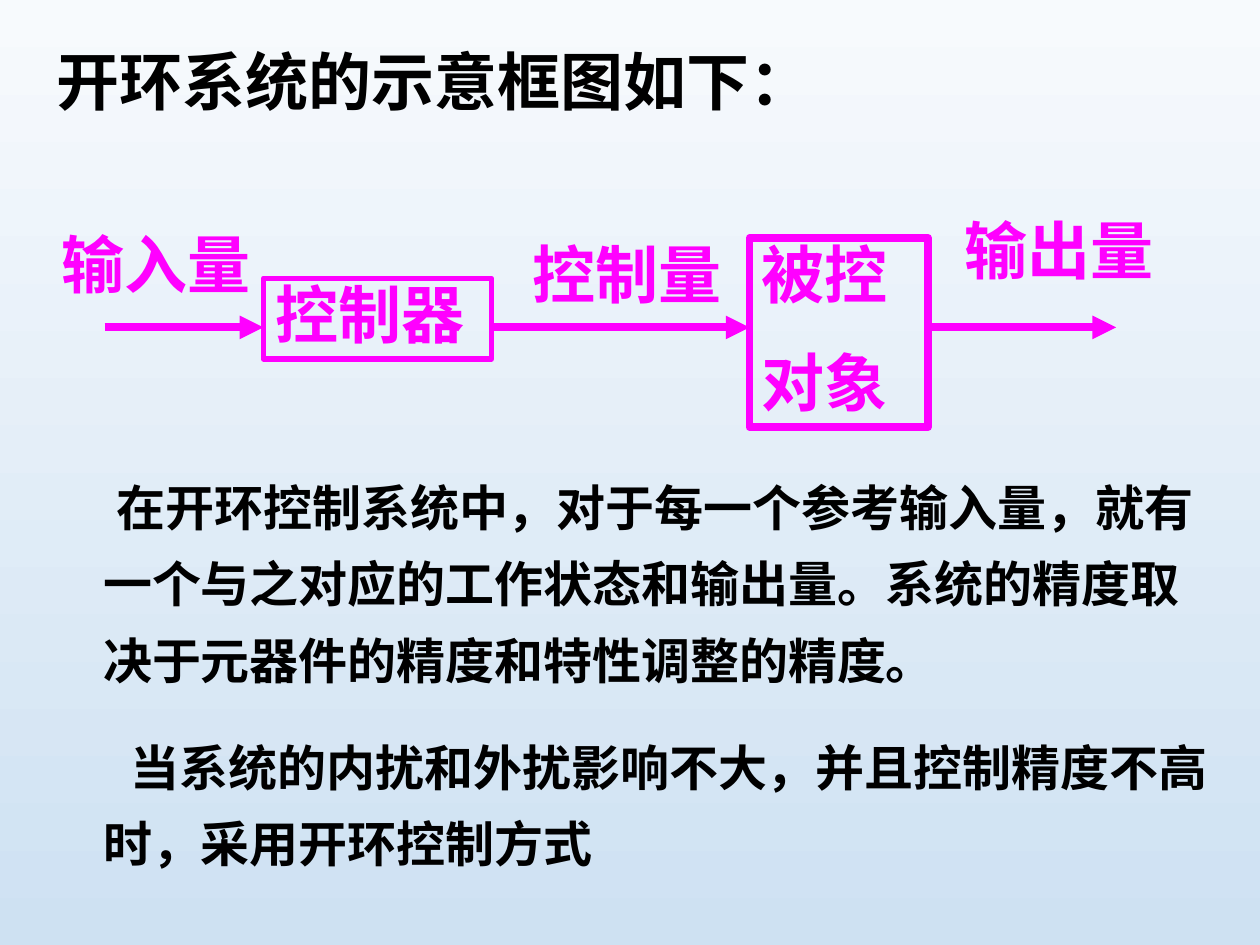
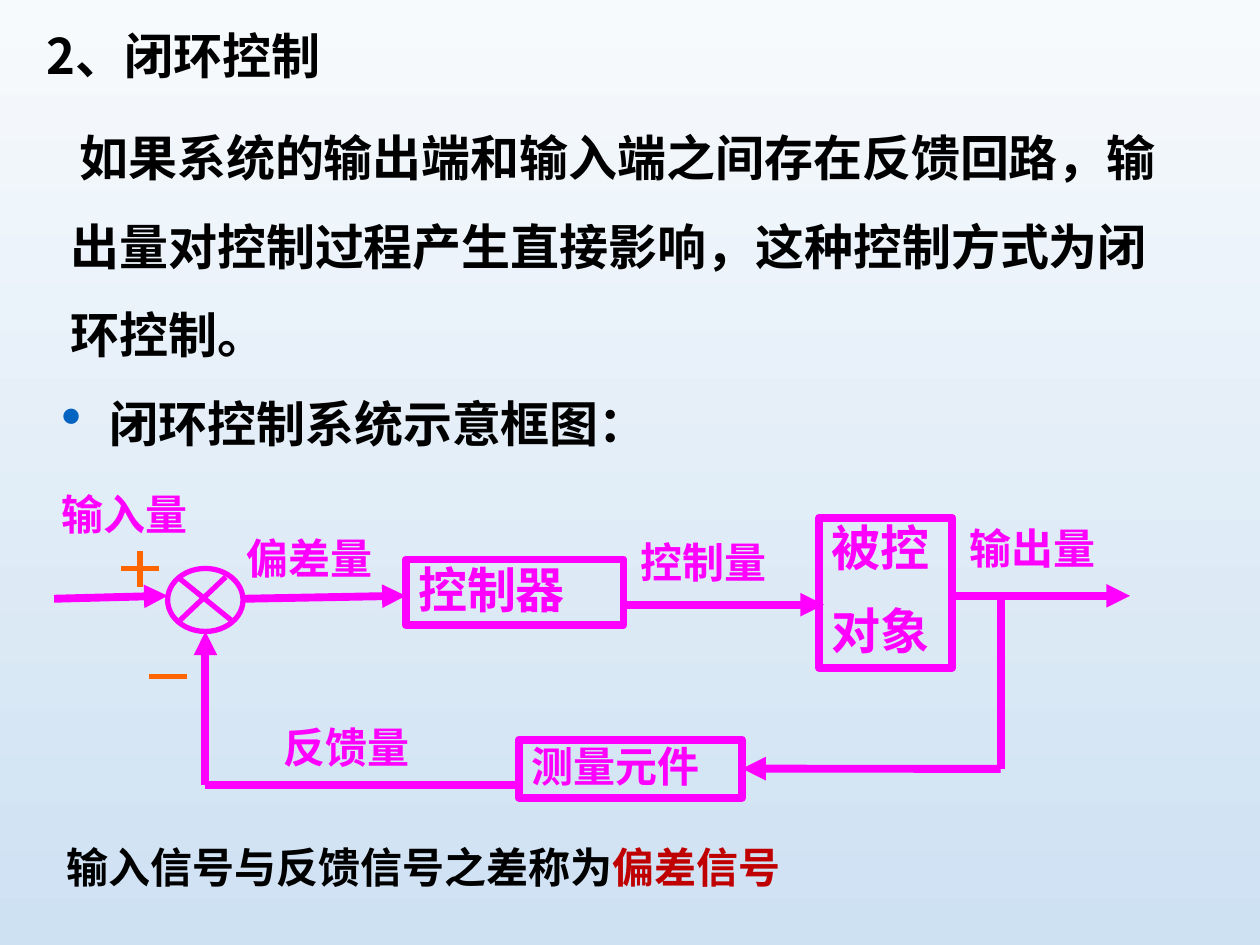
from lxml.etree import SubElement
from pptx import Presentation
from pptx.dml.color import RGBColor
from pptx.enum.shapes import MSO_CONNECTOR, MSO_SHAPE
from pptx.enum.text import MSO_ANCHOR, PP_ALIGN
from pptx.oxml.ns import qn
from pptx.util import Cm, Pt

BLACK = RGBColor(0x00, 0x00, 0x00)
MAGENTA = RGBColor(0xFF, 0x00, 0xFF)
ORANGE = RGBColor(0xFF, 0x66, 0x00)
RED = RGBColor(0xC0, 0x00, 0x00)
SKY_TOP = RGBColor(0xF7, 0xFA, 0xFD)
SKY_BOTTOM = RGBColor(0xCE, 0xE1, 0xF2)
MAIN_FONT = "Karla"
CHINESE_FONT = "Noto Sans CJK SC"


def add_box(page, place, lines, size, colour, outline=None, font=MAIN_FONT):
    lengths = [Cm(value) for value in place]
    if outline:
        box = page.shapes.add_shape(MSO_SHAPE.RECTANGLE, *lengths)
        box.shadow.inherit = False
        box.fill.background()
        box.line.color.rgb = colour
        box.line.width = Pt(outline)
    else:
        box = page.shapes.add_textbox(*lengths)
    frame = box.text_frame
    frame.word_wrap = True
    frame.vertical_anchor = MSO_ANCHOR.TOP
    frame.text = "\n".join(lines)
    for number, para in enumerate(frame.paragraphs):
        para.alignment = PP_ALIGN.LEFT
        para.line_spacing = 0.9
        para.space_before = Pt(size * 0.625 if number else 0)
        for span in para.runs:
            span.font.name = font
            span.font.size = Pt(size)
            span.font.bold = True
            span.font.color.rgb = colour
    return box


def add_line(page, ends, colour=MAGENTA, width=4.5, arrow=True):
    line = page.shapes.add_connector(MSO_CONNECTOR.STRAIGHT, *[Cm(value) for value in ends])
    line.line.color.rgb = colour
    line.line.width = Pt(width)
    if arrow:
        SubElement(line.line._get_or_add_ln(), qn("a:tailEnd"), type="triangle")
    SubElement(line._element.spPr, qn("a:effectLst"))
    return line


deck = Presentation()
deck.slide_width = Cm(25.4)
deck.slide_height = Cm(19.05)
blank = deck.slide_layouts[6]

sky = deck.slide_master.background.fill
sky.gradient()
sky.gradient_angle = 270
for stop, colour in zip(sky.gradient_stops, (SKY_TOP, SKY_BOTTOM)):
    stop.color.rgb = colour

page = deck.slides.add_slide(blank)
add_box(page, (0.89, 0.91, 19.2, 1.63), ["开环系统的示意框图如下："], 36, BLACK)
add_box(page, (5.31, 5.61, 4.6, 1.63), ["控制器"], 36, MAGENTA, outline=3)
add_box(page, (15.11, 4.8, 3.6, 3.81), ["被控", "对象"], 36, MAGENTA, outline=4.5)
for start, end in ((2.11, 5.31), (9.91, 15.11), (18.7, 22.5)):
    add_line(page, (start, 6.6, end, 6.6))
for left, top, label in ((0.99, 4.6, "输入量"), (10.49, 4.8, "控制量"), (19.2, 4.32, "输出量")):
    add_box(page, (left, top, 6.2, 1.63), [label], 36, MAGENTA)

explanation = add_box(page, (0.86, 9.14, 23.8, 8.81), [
    "在开环控制系统中，对于每一个参考输入量，就有一个与之对应的工作状态和输出量。"
    "系统的精度取决于元器件的精度和特性调整的精度。",
    "当系统的内扰和外扰影响不大，并且控制精度不高时，采用开环控制方式",
], 28, BLACK)
for para, indent in zip(explanation.text_frame.paragraphs, (0.27, 0.56)):
    para.line_spacing = 1.3
    properties = para._p.get_or_add_pPr()
    properties.set("marL", str(Cm(0.97)))
    properties.set("indent", str(Cm(indent)))

page = deck.slides.add_slide(blank)
introduction = add_box(page, (0.69, 0.53, 23.6, 9.19), [
    "2、闭环控制",
    "如果系统的输出端和输入端之间存在反馈回路，输出量对控制过程产生直接影响，"
    "这种控制方式为闭环控制。",
], 28, BLACK, font=CHINESE_FONT)
definition = introduction.text_frame.paragraphs[1]
definition.line_spacing = 1.5
definition.space_before = Pt(7.5)
properties = definition._p.get_or_add_pPr()
properties.set("marL", str(Cm(0.48)))
properties.set("indent", str(Cm(0.18)))

add_box(page, (8.18, 11.28, 4.39, 1.32), ["控制器"], 28, MAGENTA, outline=4.5)
add_box(page, (16.51, 10.44, 2.69, 3.02), ["被控", "对象"], 28, MAGENTA, outline=4.5)
sensor = add_box(page, (10.46, 14.91, 4.5, 1.17), ["测量元件"], 24, MAGENTA, outline=4.5)

junction = page.shapes.add_shape(MSO_SHAPE.OVAL, Cm(3.38), Cm(11.46), Cm(1.52), Cm(1.27))
junction.shadow.inherit = False
junction.fill.background()
junction.line.color.rgb = MAGENTA
junction.line.width = Pt(3)
for ends in ((3.58, 11.63, 4.72, 12.55), (4.55, 11.63, 3.58, 12.55)):
    add_line(page, ends, width=3, arrow=False)

for ends in (
    (1.09, 12.07, 3.38, 12.01),
    (4.93, 12.07, 8.18, 12.01),
    (12.57, 12.19, 16.61, 12.19),
    (19.15, 12.01, 22.78, 12.01),
    (4.14, 15.82, 4.14, 12.73),
):
    add_line(page, ends)
for ends in ((20.17, 12.01, 20.17, 15.5), (10.46, 15.82, 4.14, 15.82)):
    add_line(page, ends, arrow=False)
add_line(page, (20.17, 15.5, 14.96, 15.5)).end_connect(sensor, 3)

plus_and_minus = (
    (2.44, 11.46, 3.2, 11.46),
    (2.82, 11.1, 2.82, 11.84),
    (3, 13.64, 3.76, 13.64),
)
for ends in plus_and_minus:
    add_line(page, ends, ORANGE, width=3, arrow=False)

for left, top, label in (
    (0.99, 9.83, "输入量"),
    (4.72, 10.72, "偏差量"),
    (12.67, 10.8, "控制量"),
    (19.3, 10.52, "输出量"),
    (5.46, 14.53, "反馈量"),
):
    add_box(page, (left, top, 3.63, 1.17), [label], 24, MAGENTA)

caption = add_box(page, (0.99, 7.95, 14.17, 1.32), ["闭环控制系统示意框图："], 28, BLACK)
properties = caption.text_frame.paragraphs[0]._p.get_or_add_pPr()
properties.set("marL", str(Cm(0.97)))
properties.set("indent", str(Cm(-0.97)))
bullet_colour = SubElement(properties, qn("a:buClr"))
SubElement(bullet_colour, qn("a:srgbClr"), val="0563C1")
SubElement(properties, qn("a:buSzPct"), val="120000")
SubElement(properties, qn("a:buChar"), char="•")

note = add_box(page, (1.09, 16.84, 22.61, 1.27), ["输入信号与反馈信号之差称为"], 24, BLACK,
               font=CHINESE_FONT)
para = note.text_frame.paragraphs[0]
para.line_spacing = 1.0
span = para.add_run()
span.text = "偏差信号"
span.font.name = CHINESE_FONT
span.font.size = Pt(24)
span.font.bold = True
span.font.color.rgb = RED

deck.save("out.pptx")
